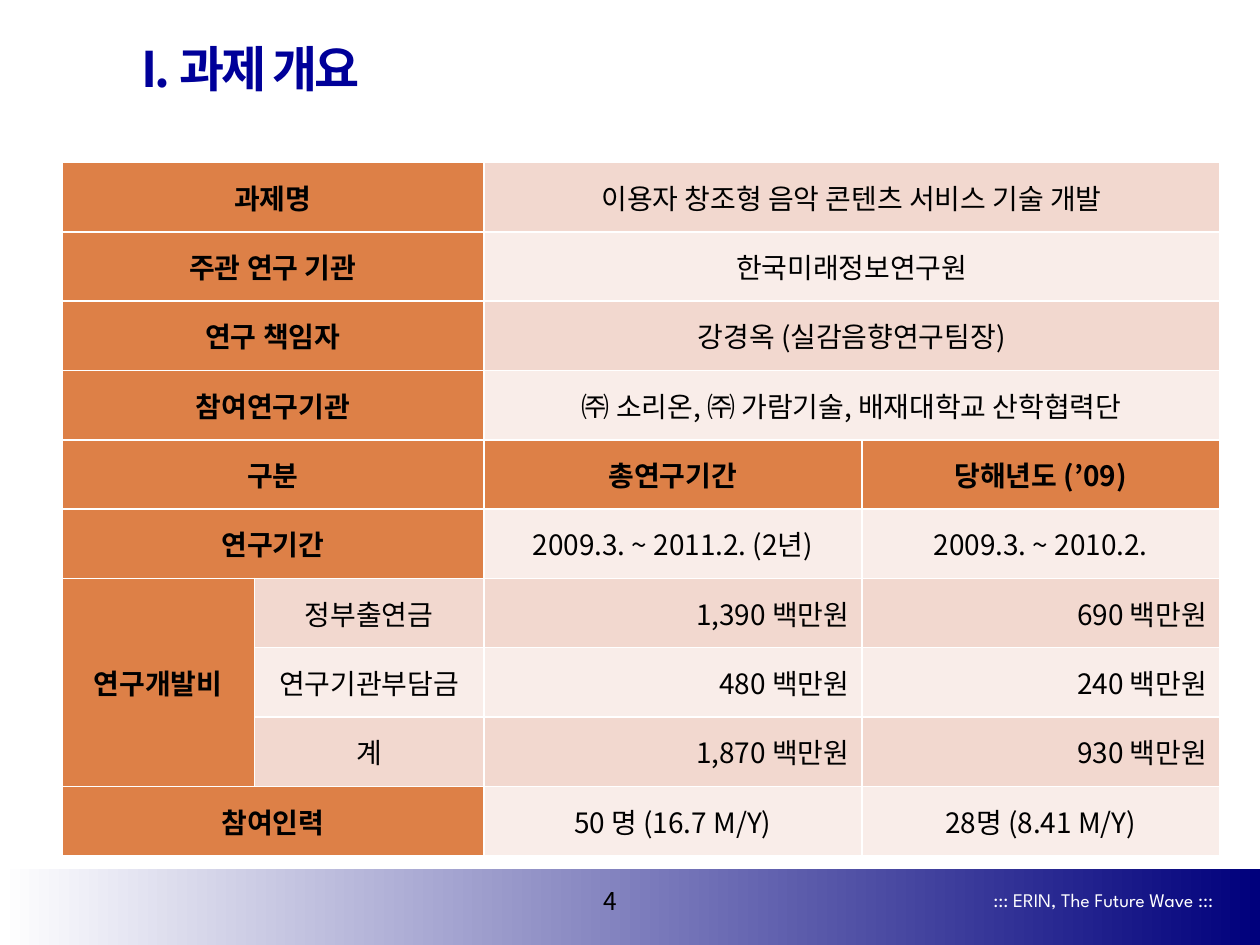
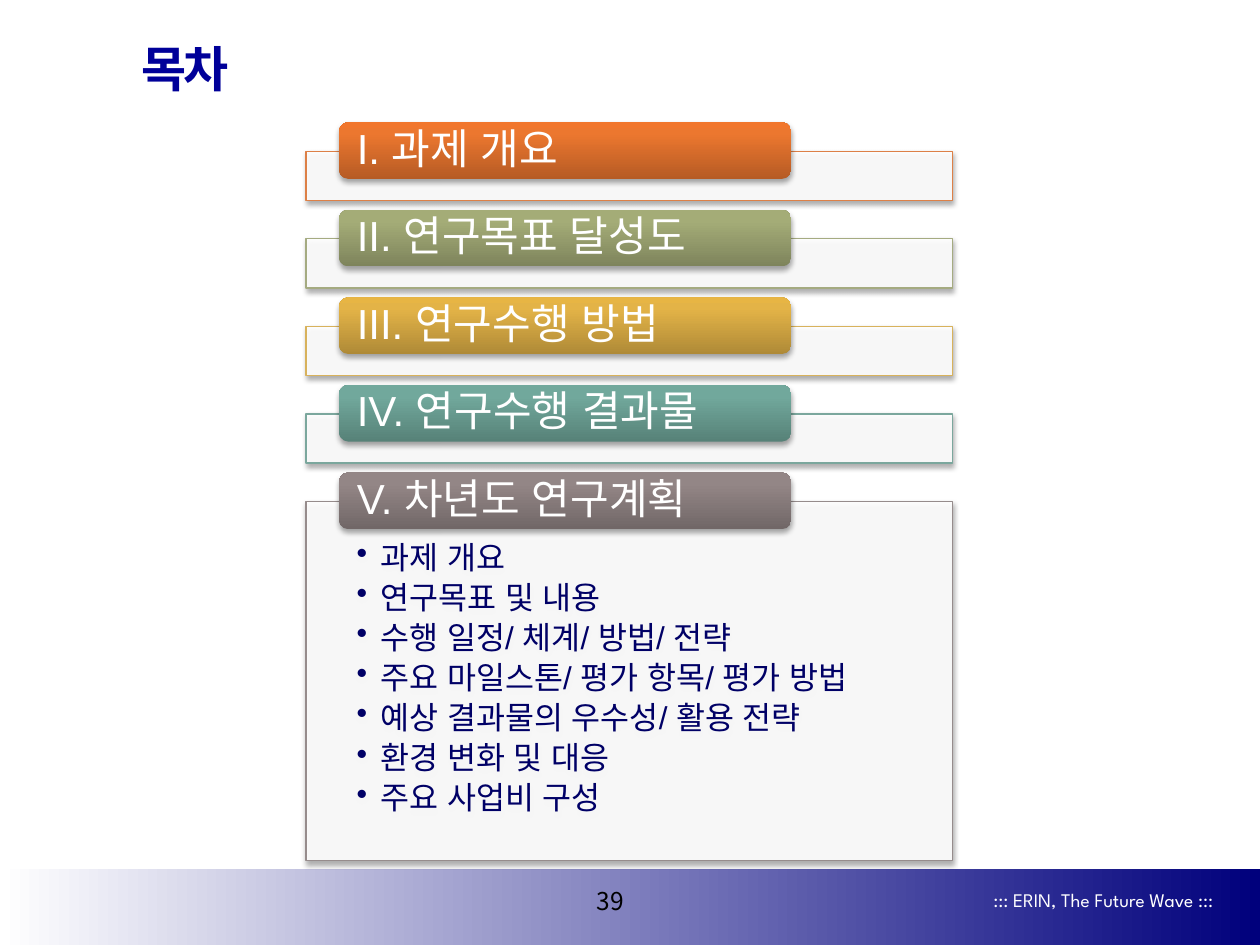
from copy import deepcopy

from pptx import Presentation
from pptx.dml.color import RGBColor
from pptx.enum.shapes import MSO_SHAPE as Shape
from pptx.enum.text import MSO_ANCHOR as Anchor, MSO_AUTO_SIZE as AutoSize, PP_ALIGN as Align
from pptx.oxml.ns import qn
from pptx.oxml.xmlchemy import OxmlElement as new_element
from pptx.util import Emu, Inches, Pt

# Colours
WHITE = RGBColor(0xFF, 0xFF, 0xFF)
BLACK = RGBColor(0x00, 0x00, 0x00)
NAVY = RGBColor(0x00, 0x00, 0x7C)
TITLE_BLUE = RGBColor(0x00, 0x00, 0x99)
BULLET_BLUE = RGBColor(0x00, 0x00, 0x66)
ORANGE = RGBColor(0xDD, 0x80, 0x47)
ROW_TINTS = (RGBColor(0xF2, 0xD8, 0xCF), RGBColor(0xF9, 0xED, 0xE9))

# Text styles
KOREAN = "Noto Sans CJK KR"
TITLE = dict(size=Pt(28), name=KOREAN, bold=True, color=TITLE_BLUE)
FOOTER = dict(size=Pt(11), name="League Spartan", color=WHITE)
NUMBER = dict(size=Pt(14), name=KOREAN, color=BLACK)
CELL = dict(size=Pt(16), name=KOREAN, bold=False, color=BLACK)
HEAD_CELL = {**CELL, "bold": True}
TAB = dict(size=Pt(24), name="Arial", color=WHITE)
BULLET = dict(size=Pt(18), name="Arial", color=BULLET_BLUE)

# The page is a grid of 100 columns and 75 rows
COLUMNS, ROWS = 100, 75

# Project overview: label, optional sub-label, values
OVERVIEW = [
    ("과제명", None, "이용자 창조형 음악 콘텐츠 서비스 기술 개발", None),
    ("주관 연구 기관", None, "한국미래정보연구원", None),
    ("연구 책임자", None, "강경옥 (실감음향연구팀장)", None),
    ("참여연구기관", None, "㈜ 소리온, ㈜ 가람기술, 배재대학교 산학협력단", None),
    ("구분", None, "총연구기간", "당해년도 (’09)"),
    ("연구기간", None, "2009.3. ~ 2011.2. (2년)", "2009.3. ~ 2010.2."),
    ("연구개발비", "정부출연금", "1,390 백만원", "690 백만원"),
    (None, "연구기관부담금", "480 백만원", "240 백만원"),
    (None, "계", "1,870 백만원", "930 백만원"),
    ("참여인력", None, "50 명 (16.7 M/Y)", "28명 (8.41 M/Y)"),
]
OVERVIEW_WIDTHS = (15.3, 18.2, 30, 28.4)
HEADING_ROW = 4
COST_ROWS = range(6, 9)

# Contents: heading, frame colour, tab gradient from bottom to top
CONTENTS = [
    ("I. 과제 개요", "DD8047", ("B65B24", "EC772F", "F1762C")),
    ("II. 연구목표 달성도", "A5AB81", ("7E845C", "A4AC77", "A6AE76")),
    ("III. 연구수행 방법", "D8B25C", ("AF8A37", "E3B347", "E7B544")),
    ("IV. 연구수행 결과물", "7BA79D", ("578278", "71A89C", "70AA9D")),
    ("V. 차년도 연구계획", "968C8C", ("716767", "938686", "948787")),
]
PLAN_TOPICS = [
    "과제 개요",
    "연구목표 및 내용",
    "수행 일정/ 체계/ 방법/ 전략",
    "주요 마일스톤/ 평가 항목/ 평가 방법",
    "예상 결과물의 우수성/ 활용 전략",
    "환경 변화 및 대응",
    "주요 사업비 구성",
]


def child(parent, tag, **attributes):
    element = new_element(tag)
    for key, value in attributes.items():
        element.set(key, str(value))
    parent.append(element)
    return element


class SlideBuilder:
    """Holds the shared style and the slide being built."""

    def __init__(self, deck):
        self.deck = deck
        self.page = None

    def place(self, left, top, width, height):
        column, row = self.deck.slide_width / COLUMNS, self.deck.slide_height / ROWS
        return [Emu(round(n * unit)) for n, unit in
                ((left, column), (top, row), (width, column), (height, row))]

    def start(self, title, number):
        self.page = self.deck.slides.add_slide(self.deck.slide_layouts[5])
        # Footer band
        band = self.shape(Shape.RECTANGLE, 0, 69, 100, 6)
        self.gradient(band, [(0, WHITE), (1, NAVY)], 0)
        self.text_box("::: ERIN, The Future Wave :::", 76.1, 70, 21.2, 2.8, FOOTER, Align.RIGHT)
        self.text_box(number, 45.3, 69.8, 6.3, 3.3, NUMBER, Align.CENTER)
        # Title
        box = self.page.shapes.title
        box.left, box.top, box.width, box.height = self.place(10.2, 2.3, 78.1, 6.2)
        self.fill_text(box.text_frame, [title], TITLE, Align.LEFT)
        span = box.text_frame.paragraphs[0].runs[0]
        span.font._element.set("spc", "-150")

    def fill_text(self, frame, lines, style, align, anchor=Anchor.MIDDLE, margins=None):
        frame.word_wrap, frame.auto_size = True, AutoSize.NONE
        frame.vertical_anchor = anchor
        for side, value in (margins or {}).items():
            setattr(frame, f"margin_{side}", Inches(value))
        for index, line in enumerate(lines):
            para = frame.add_paragraph() if index else frame.paragraphs[0]
            para.alignment = align
            self.add_span(para, line, style)

    def add_span(self, para, text, style):
        span = para.add_run()
        span.text = text
        for key, value in style.items():
            if key == "color":
                span.font.color.rgb = value
            else:
                setattr(span.font, key, value)
        child(span.font._element, "a:ea", typeface=style["name"])

    def text_box(self, text, left, top, width, height, style, align):
        box = self.page.shapes.add_textbox(*self.place(left, top, width, height))
        self.fill_text(box.text_frame, [text], style, align)

    def shape(self, kind, left, top, width, height):
        shape = self.page.shapes.add_shape(kind, *self.place(left, top, width, height))
        shape.shadow.inherit = False
        shape.line.fill.background()
        return shape

    def gradient(self, shape, stops, angle):
        shape.fill.gradient()
        shape.fill.gradient_angle = angle
        stop_list = shape._element.spPr.find(".//" + qn("a:gsLst"))
        while len(stop_list) < len(stops):
            stop_list.append(deepcopy(stop_list[0]))
        for stop, (position, color) in zip(shape.fill.gradient_stops, stops):
            stop.position, stop.color.rgb = position, color

    def drop_shadow(self, shape):
        effects = shape._element.spPr.find(qn("a:effectLst"))
        shadow = child(effects, "a:outerShdw", blurRad=Pt(3.1), dist=Pt(1.8),
                       dir=90 * 60000, rotWithShape=0)
        child(child(shadow, "a:srgbClr", val=BLACK), "a:alpha", val=35000)

    def frame(self, left, top, width, height, color):
        frame = self.shape(Shape.RECTANGLE, left, top, width, height)
        frame.fill.solid()
        frame.fill.fore_color.rgb = WHITE
        fill_color = frame._element.spPr.find(f"{qn('a:solidFill')}/{qn('a:srgbClr')}")
        child(fill_color, "a:alpha", val=90000)
        frame.line.color.rgb, frame.line.width = color, Pt(0.75)
        self.drop_shadow(frame)
        return frame

    def tab(self, text, left, top, width, height, colors):
        tab = self.shape(Shape.ROUNDED_RECTANGLE, left, top, width, height)
        self.gradient(tab, list(zip((0, 0.8, 1), colors)), 90)
        self.drop_shadow(tab)
        self.fill_text(tab.text_frame, [text], TAB, Align.LEFT,
                       margins=dict(left=0.12, right=0.12, top=0, bottom=0))
        tab.text_frame.paragraphs[0].line_spacing = 0.9

    def bullets(self, shape, lines):
        self.fill_text(shape.text_frame, lines, BULLET, Align.LEFT, Anchor.TOP,
                       dict(left=0.4, right=0.4, top=0.32, bottom=0.14))
        for para in shape.text_frame.paragraphs:
            props = para._p.get_or_add_pPr()
            props.set("marL", str(Inches(0.19)))
            props.set("indent", str(-Inches(0.19)))
            child(props, "a:buChar", char="•")
            para.line_spacing, para.space_after = 0.9, Pt(3.5)

    def table(self, left, top, widths, row_height, row_count):
        place = self.place(left, top, sum(widths), row_height * row_count)
        table = self.page.shapes.add_table(row_count, len(widths), *place).table
        for column, width in zip(table.columns, widths):
            column.width = self.place(0, 0, width, 0)[2]
        return table

    def cell(self, cell, text, fill, style, align=Align.CENTER):
        cell.fill.solid()
        cell.fill.fore_color.rgb = fill
        cell.vertical_anchor = Anchor.MIDDLE
        props = cell._tc.get_or_add_tcPr()
        for index, side in enumerate("LRTB"):
            border = child(props, f"a:ln{side}", w=Pt(1))
            child(child(border, "a:solidFill"), "a:srgbClr", val=WHITE)
            props.insert(index, border)
        if text:
            para = cell.text_frame.paragraphs[0]
            para.alignment = align
            self.add_span(para, text, style)


def build_overview(builder):
    builder.start("I. 과제 개요", "4")
    table = builder.table(4.9, 12.9, OVERVIEW_WIDTHS, 5.5, len(OVERVIEW))
    for row, texts in enumerate(OVERVIEW):
        for column, text in enumerate(texts):
            is_cost = row in COST_ROWS
            is_head = column == 0 or row == HEADING_ROW or (column == 1 and not is_cost)
            fill, style = (ORANGE, HEAD_CELL) if is_head else (ROW_TINTS[row % 2], CELL)
            align = Align.RIGHT if is_cost and column > 1 else Align.CENTER
            builder.cell(table.cell(row, column), text, fill, style, align)
        # Joined labels and values
        if row not in COST_ROWS:
            table.cell(row, 0).merge(table.cell(row, 1))
        if row < HEADING_ROW:
            table.cell(row, 2).merge(table.cell(row, 3))
    table.cell(COST_ROWS[0], 0).merge(table.cell(COST_ROWS[-1], 0))


def build_contents(builder):
    builder.start("목차", "39")
    for index, (heading, line, shades) in enumerate(CONTENTS):
        offset = 6.95 * index
        is_open = index == len(CONTENTS) - 1
        frame = builder.frame(24.3, 12 + offset, 51.3, 28.5 if is_open else 3.9,
                              RGBColor.from_string(line))
        if is_open:
            builder.bullets(frame, PLAN_TOPICS)
        colors = [RGBColor.from_string(shade) for shade in shades]
        builder.tab(heading, 26.9, 9.7 + offset, 35.9, 4.5, colors)


def main():
    deck = Presentation()
    deck.slide_width, deck.slide_height = Inches(10), Inches(7.5)
    builder = SlideBuilder(deck)
    build_overview(builder)
    build_contents(builder)
    deck.save("out.pptx")


if __name__ == "__main__":
    main()
